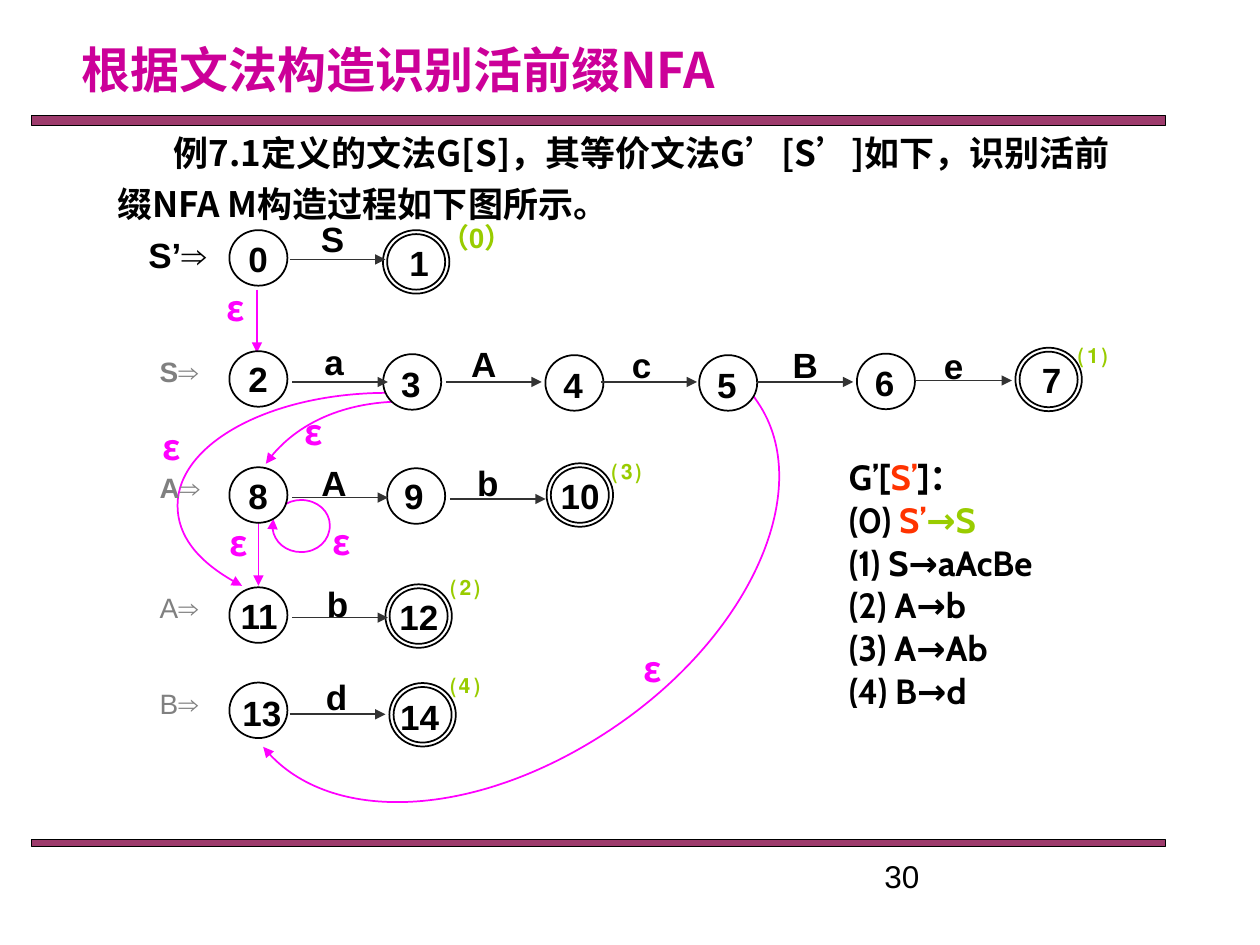
from pptx import Presentation
from pptx.dml.color import RGBColor
from pptx.enum.shapes import MSO_CONNECTOR, MSO_SHAPE
from pptx.enum.text import MSO_ANCHOR, PP_ALIGN
from pptx.oxml.ns import qn
from pptx.util import Cm, Pt
from lxml import etree

LINE = MSO_CONNECTOR.STRAIGHT
RECT, OVAL = MSO_SHAPE.RECTANGLE, MSO_SHAPE.OVAL
LEFT, MID, RIGHT = PP_ALIGN.LEFT, PP_ALIGN.CENTER, PP_ALIGN.RIGHT
TOP, LOW = MSO_ANCHOR.TOP, MSO_ANCHOR.BOTTOM

HEX = {"black": "000000", "white": "FFFFFF", "bar": "9D3B6C", "title": "CC0099",
       "eps": "FF00FF", "arrow": "333333", "tag": "808080", "mark": "99CC00",
       "red": "FF3300"}
SANS, HAN, RULE = "Arial", "Noto Sans CJK SC", "Cabin"

# States: name, centre x, centre y, accepting, then left, top and width of the name
NODES = [
    ("0", 5.21, 5.2, False, 4.67, 4.67, 1.07),
    ("1", 8.39, 5.28, True, 7.8, 4.75, 1.3),
    ("2", 5.21, 7.64, False, 4.67, 7.09, 1.07),
    ("3", 8.31, 7.7, False, 7.75, 7.19, 1.07),
    ("4", 11.58, 7.72, False, 11.02, 7.21, 1.07),
    ("5", 14.68, 7.72, False, 14.12, 7.21, 1.07),
    ("6", 17.86, 7.69, False, 17.3, 7.16, 1.07),
    ("7", 21.14, 7.65, True, 20.55, 7.11, 1.3),
    ("8", 5.21, 9.98, False, 4.67, 9.45, 1.07),
    ("9", 8.39, 10, False, 7.67, 9.45, 1.35),
    ("10", 11.69, 9.98, True, 11.02, 9.45, 1.35),
    ("11", 5.21, 12.4, False, 4.55, 11.86, 1.35),
    ("12", 8.44, 12.42, True, 7.77, 11.89, 1.35),
    ("13", 5.21, 14.32, False, 4.57, 13.82, 1.42),
    ("14", 8.52, 14.41, True, 7.8, 13.89, 1.32)]

# Moves: symbol, arrow start, symbol corner
STEP = 1.93
MOVES = [
    ("S", 5.84, 5.23, 6.17, 4.27),
    ("a", 5.89, 7.7, 6.2, 6.73), ("A", 8.99, 7.7, 9.22, 6.78),
    ("c", 12.12, 7.7, 12.4, 6.81), ("B", 15.27, 7.7, 15.7, 6.81),
    ("e", 18.47, 7.67, 18.69, 6.83),
    ("A", 5.89, 10.03, 6.2, 9.17), ("b", 9.07, 10.06, 9.3, 9.17),
    ("b", 5.89, 12.45, 6.27, 11.61), ("d", 5.84, 14.4, 6.25, 13.49)]

# Empty moves: turn and Bezier chain, straight drops, places of the ε signs
CURVES = [
    (325.8, [(17.32, 10.96), (17.32, 11.04), (17.32, 11.13), (17.32, 11.22),
             (17.32, 13.3), (14.6, 15.01), (11.26, 15.01), (8, 15.01),
             (5.32, 13.4), (5.17, 11.36)]),
    (0, [(7.82, 7.92), (5.46, 7.92), (3.58, 8.94), (3.58, 10.19), (3.58, 10.8),
         (4.04, 11.38), (4.88, 11.81)]),
    (0, [(7.92, 8.1), (6.83, 8.15), (5.84, 8.64), (5.36, 9.35)]),
    (0, [(5.69, 10.21), (5.79, 10.13), (5.92, 10.08), (6.07, 10.08),
         (6.4, 10.08), (6.65, 10.31), (6.65, 10.59), (6.65, 10.9),
         (6.4, 11.13), (6.07, 11.13), (5.77, 11.13), (5.49, 10.9),
         (5.49, 10.59), (5.49, 10.57), (5.51, 10.52), (5.51, 10.46)])]
DROPS = [(5.18, 5.84, 7.11), (5.21, 10.54, 11.81)]
SIGNS = [(12.73, 12.93, LEFT), (4.32, 5.66, LEFT), (3.02, 8.46, LEFT),
         (5.89, 8.15, LEFT), (6.25, 10.36, RIGHT), (4.37, 10.39, LEFT)]

TAGS = [("S⇒", 7.02, True), ("A⇒", 9.37, True), ("A⇒", 11.79, False),
        ("B⇒", 13.72, False)]
MARKS = [("⑴", 21.49, 6.63), ("⑶", 12.09, 8.98), ("⑵", 8.84, 11.32),
         ("⑷", 8.84, 13.3)]
RULES = [
    [("G’[", "black"), ("S’", "red"), ("]：", "black")],
    [("(0) ", "black"), ("S’", "red"), ("→S", "mark")],
    [("(1) S→aAcBe", "black")],
    [("(2) A→b", "black")],
    [("(3) A→Ab", "black")],
    [("(4) B→d", "black")]]


def tint(name):
    return RGBColor.from_string(HEX[name])


def add_run(para, text, size=20, font=SANS, color="black", bold=True):
    run = para.add_run()
    run.text = text
    run.font.size, run.font.bold, run.font.name = Pt(size), bold, font
    run.font.color.rgb = tint(color)
    east = etree.SubElement(run.font._element, qn("a:ea"))
    east.set("typeface", font)


def add_text(slide, text, x, y, w=1.07, h=1.12, align=MID, anchor=TOP, **form):
    frame = slide.shapes.add_textbox(Cm(x), Cm(y), Cm(w), Cm(h)).text_frame
    frame.word_wrap = True
    frame.vertical_anchor = anchor
    para = frame.paragraphs[0]
    para.alignment = align
    add_run(para, text, **form)
    return para


def add_form(slide, kind, x, y, w, h, fill=None, width=1):
    form = slide.shapes.add_shape(kind, Cm(x), Cm(y), Cm(w), Cm(h))
    form.shadow.inherit = False
    if fill:
        form.fill.solid()
        form.fill.fore_color.rgb = tint(fill)
    else:
        form.fill.background()
    form.line.color.rgb = tint("black")
    form.line.width = Pt(width)


def style_arrow(item, color):
    item.line.color.rgb = tint(color)
    item.line.width = Pt(1)
    tail = etree.SubElement(item.line._get_or_add_ln(), qn("a:tailEnd"))
    tail.set("type", "triangle")


def add_arrow(slide, x1, y1, x2, y2, color):
    item = slide.shapes.add_connector(LINE, Cm(x1), Cm(y1), Cm(x2), Cm(y2))
    style_arrow(item, color)
    etree.SubElement(item._element.spPr, qn("a:effectLst"))


def add_curve(slide, turn, knots):
    dots = [(Cm(x), Cm(y)) for x, y in knots]
    pen = slide.shapes.build_freeform(*dots[0])
    pen.add_line_segments(dots[1:], close=False)
    curve = pen.convert_to_shape()
    # Each three straight segments become one cubic Bezier
    legs = list(curve._element.iter(qn("a:lnTo")))
    for i in range(0, len(legs), 3):
        bend = etree.SubElement(legs[i].getparent(), qn("a:cubicBezTo"))
        for leg in legs[i:i + 3]:
            bend.append(leg[0])
            leg.getparent().remove(leg)
    curve.rotation = turn
    curve.shadow.inherit = False
    curve.fill.background()
    style_arrow(curve, "eps")


def add_node(slide, name, x, y, final, left, top, width):
    sizes = [(1.17, 1.12)] + [(1.34, 1.28)] * final
    for w, h in sizes:
        add_form(slide, OVAL, x - w / 2, y - h / 2, w, h, None if final else "white")
    add_text(slide, name, left, top, width)


def add_rules(slide):
    grid = slide.shapes.add_table(1, 1, Cm(14.91), Cm(8.92), Cm(7.21), Cm(5.33)).table
    grid.first_row = grid.horz_banding = False
    cell = grid.cell(0, 0)
    cell.fill.background()
    cell.margin_left, cell.margin_top = Cm(2.2), Cm(0.29)
    cell.margin_bottom = 0
    for i, parts in enumerate(RULES):
        frame = cell.text_frame
        para = frame.add_paragraph() if i else frame.paragraphs[0]
        for text, color in parts:
            add_run(para, text, font=RULE, color=color)


def main():
    deck = Presentation()
    deck.slide_width, deck.slide_height = Cm(25.4), Cm(19.05)
    slide = deck.slides.add_slide(deck.slide_layouts[6])

    # Bars, title, intro and page number
    for y, h in ((2.33, 0.2), (16.93, 0.13)):
        add_form(slide, RECT, 0.64, y, 22.86, h, "bar", 0.75)
    add_text(slide, "根据文法构造识别活前缀NFA ", 0.2, 0.64, 15.88, 1.47,
             anchor=LOW, size=28, font=HAN, color="title")
    intro = add_text(slide, "例7.1定义的文法G[S]，其等价文法G’[S’]如下，"
                     "识别活前缀NFA M构造过程如下图所示。",
                     2.11, 2.36, 21.21, 2.31, align=LEFT, font=HAN)
    intro.line_spacing, intro.space_before = 1.2, Pt(2)
    intro._p.get_or_add_pPr().set("indent", str(Cm(1.14)))
    add_text(slide, "30", 17.58, 17.15, 5.92, 0.69, align=LEFT, size=18, bold=False)

    # Grammar
    add_rules(slide)

    # Empty moves
    for turn, knots in CURVES:
        add_curve(slide, turn, knots)
    for x, y1, y2 in DROPS:
        add_arrow(slide, x, y1, x, y2, "eps")
    for x, y, side in SIGNS:
        add_text(slide, "ε", x, y, align=side, font=HAN, color="eps")

    # States and moves
    for node in NODES:
        add_node(slide, *node)
    for sign, x, y, left, top in MOVES:
        add_arrow(slide, x, y, x + STEP, y, "arrow")
        add_text(slide, sign, left, top)

    # Row tags and rule numbers
    add_text(slide, "S’⇒", 2.74, 4.58, 2.13, 0.91, align=LEFT)
    for text, y, bold in TAGS:
        add_text(slide, text, 2.97, y, 2.01, align=LEFT, size=16, color="tag", bold=bold)
    add_text(slide, "（0）", 8.48, 4.32, 2.26, 0.97, size=16, color="mark")
    for text, x, y in MARKS:
        add_text(slide, text, x, y, 1.35, align=LEFT, size=16, color="mark")

    deck.save("out.pptx")


if __name__ == "__main__":
    main()
